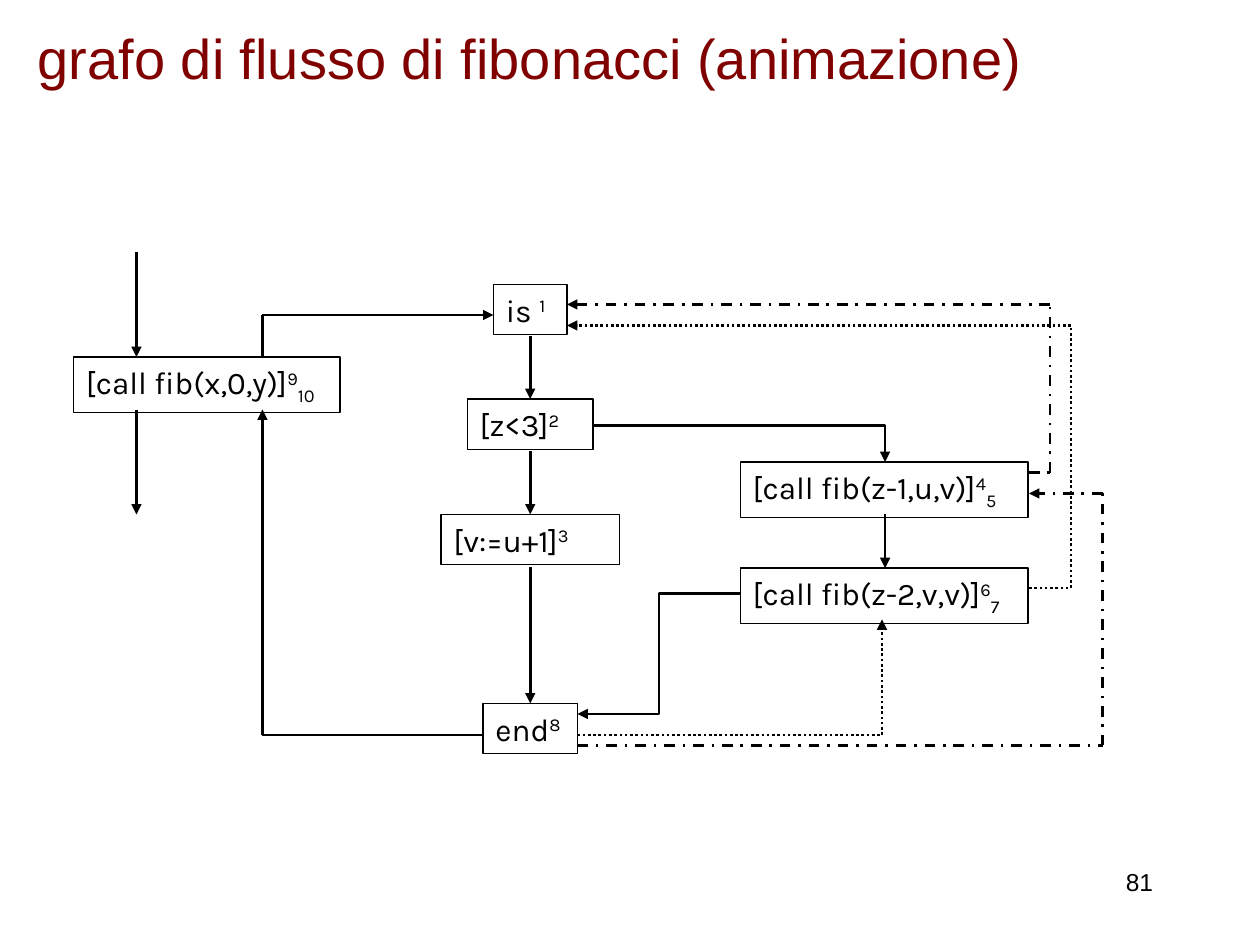
from dataclasses import dataclass
from itertools import pairwise

from lxml.etree import SubElement
from pptx import Presentation
from pptx.dml.color import RGBColor as RGB
from pptx.enum.dml import MSO_LINE as Dash
from pptx.enum.shapes import MSO_CONNECTOR as Link, MSO_SHAPE as Form
from pptx.enum.text import MSO_ANCHOR as Anchor, MSO_AUTO_SIZE as Fit, PP_ALIGN as Align
from pptx.oxml.ns import qn
from pptx.util import Inches, Length, Pt

Point = tuple[float, float]


@dataclass(frozen=True)
class Theme:
    ink: RGB = RGB(0, 0, 0)
    head: RGB = RGB(0x80, 0, 0)
    sans: str = "Arial"
    code: str = "Karla"
    title: float = 32
    label: float = 18
    page: float = 14
    edge: float = 0.75
    flow: float = 1.5


@dataclass(frozen=True)
class Node:
    col: float
    row: float
    wide: float
    text: str
    sup: str
    sub: str = ""


@dataclass(frozen=True)
class Route:
    points: tuple[Point, ...]
    dash: Dash | None = None
    arrow: bool = True
    bend: str = ""


THEME = Theme()
CALL, TEST = 27.4, 4.8  # width of inner call boxes, height of plain boxes
DOT, MIX = Dash.ROUND_DOT, Dash.DASH_DOT

NODES = (
    Node(7, 34, 25.4, "[call fib(x,0,y)]", "9", "10"),
    Node(70.5, 54.1, CALL, "[call fib(z-2,v,v)]", "6", "7"),
    Node(70.5, 44, CALL, "[call fib(z-1,u,v)]", "4", "5"),
    Node(46, 67, 9, "end", "8"),
    Node(42, 49, 17, "[v:=u+1]", "3"),
    Node(44.5, 38, 12, "[z<3]", "2"),
    Node(47, 27.1, 7, "is ", "1"),
)

ROUTES = (
    # Body of the procedure
    Route(((50.5, 32), (50.5, 38))),
    Route(((50.5, 43), (50.5, 49))),
    Route(((50.5, 54), (50.5, 67))),
    Route(((70.5, 56.5), (55, 68)), bend="bentConnector3"),
    Route(((84.3, 49), (84.3, 54.1))),
    Route(((56.5, 40.5), (84.3, 44)), bend="bentConnector2"),
    # Inner calls and their returns
    Route(((98, 45), (100, 45), (100, 29), (54, 29)), MIX),
    Route(((98, 56), (102, 56), (102, 31), (54, 31)), DOT),
    Route(((55, 70), (84, 70), (84, 59)), DOT),
    Route(((55, 71), (105, 71), (105, 47), (98, 47)), MIX),
    # Outer call: entry, exit, call and return
    Route(((13, 24), (13, 34))),
    Route(((13, 39), (13, 49))),
    Route(((25, 34), (25, 30), (47, 30))),
    Route(((46, 70), (25, 70), (25, 39))),
)


def cell(count: float) -> Length:
    """Grid of 120 columns by 90 rows."""
    return Inches(count / 12)


def style(para, face: str, size: float, tint: RGB) -> None:
    font = para.font
    font.name, font.size = face, Pt(size)
    font.color.rgb = tint


def draw_node(shapes, node: Node) -> None:
    tall = 5.3 if node.sub else TEST
    box = shapes.add_shape(Form.RECTANGLE, *map(cell, (node.col, node.row, node.wide, tall)))
    box.shadow.inherit = False
    box.fill.background()
    box.line.color.rgb, box.line.width = THEME.ink, Pt(THEME.edge)
    frame = box.text_frame
    frame.vertical_anchor, frame.auto_size = Anchor.TOP, Fit.SHAPE_TO_FIT_TEXT
    para = frame.paragraphs[0]
    para.alignment = Align.LEFT
    style(para, THEME.code, THEME.label, THEME.ink)
    for text, shift in ((node.text, 0), (node.sup, 30000), (node.sub, -25000)):
        if text:
            run = para.add_run()
            run.text = text
            if shift:
                run._r.get_or_add_rPr().set("baseline", str(shift))


def draw_route(shapes, route: Route) -> None:
    kind = Link.ELBOW if route.bend else Link.STRAIGHT
    for start, end in pairwise(route.points):
        wire = shapes.add_connector(kind, *map(cell, start + end))
        line = wire.line
        line.color.rgb, line.width = THEME.ink, Pt(THEME.flow)
        if route.dash:
            line.dash_style = route.dash
        props = wire._element.spPr
        if route.bend:
            props.find(qn("a:prstGeom")).set("prst", route.bend)
        if route.arrow and end == route.points[-1]:
            SubElement(props.find(qn("a:ln")), qn("a:tailEnd"), type="triangle")
        SubElement(props, qn("a:effectLst"))


def main() -> None:
    deck = Presentation()
    deck.slide_width, deck.slide_height = Inches(10), Inches(7.5)
    slide = deck.slides.add_slide(deck.slide_layouts[5])
    shapes = slide.shapes

    # Title
    title = shapes.title
    title.left, title.top = Inches(0.2), 0
    title.width, title.height = Inches(9.49), Inches(0.91)
    frame = title.text_frame
    frame.text = "grafo di flusso di fibonacci (animazione)"
    frame.vertical_anchor, frame.auto_size = Anchor.MIDDLE, Fit.NONE
    frame.paragraphs[0].alignment = Align.LEFT
    style(frame.paragraphs[0], THEME.sans, THEME.title, THEME.head)

    # Flow graph
    for node in NODES:
        draw_node(shapes, node)
    for route in ROUTES:
        draw_route(shapes, route)

    # Page number
    page = shapes.add_textbox(*map(cell, (86, 82, 25, 6))).text_frame
    page.word_wrap = True
    page.text = "81"
    page.paragraphs[0].alignment = Align.RIGHT
    style(page.paragraphs[0], THEME.sans, THEME.page, THEME.ink)

    deck.save("out.pptx")


if __name__ == "__main__":
    main()
